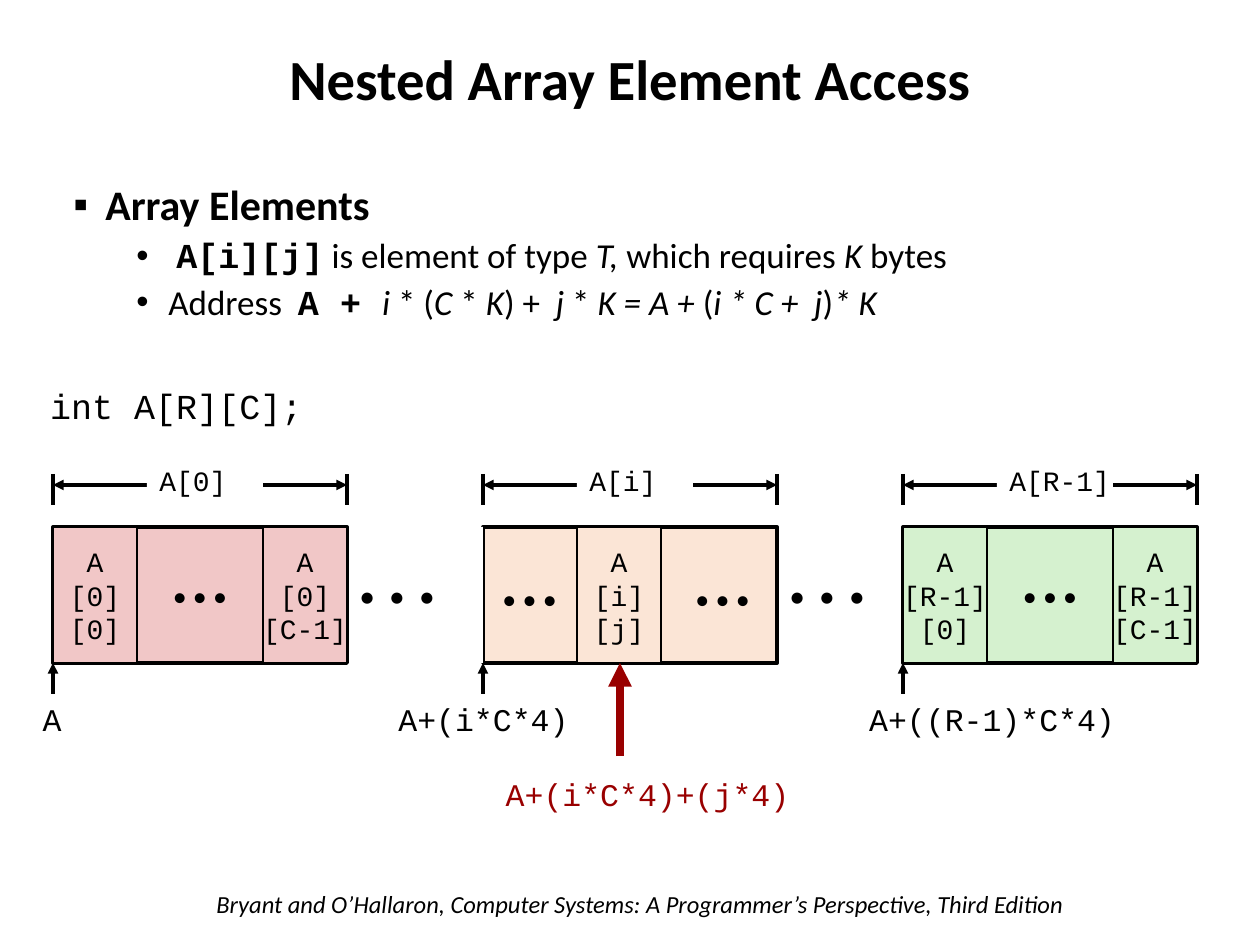
from lxml import etree
from pptx import Presentation
from pptx.dml.color import RGBColor
from pptx.enum.shapes import MSO_CONNECTOR, MSO_SHAPE
from pptx.enum.text import MSO_ANCHOR, PP_ALIGN
from pptx.oxml.ns import qn
from pptx.util import Pt

RECT = MSO_SHAPE.RECTANGLE
STRAIGHT = MSO_CONNECTOR.STRAIGHT
MIDDLE = MSO_ANCHOR.MIDDLE
LEFT, CENTER, RIGHT = PP_ALIGN.LEFT, PP_ALIGN.CENTER, PP_ALIGN.RIGHT
PX = 914400 / 126
SANS, MONO = "Calibri", "Courier New"
COLORS = {
    "ink": "000000", "paper": "FFFFFF", "accent": "990000",
    "first": "F1C7C7", "middle": "FBE5D6", "last": "D5F1CF",
}
DOTS = "•\u00a0•\u00a0•"


def write(frame, text, size=16, font=MONO, color="ink", bold=False,
          italic=False, align=LEFT, new=True):
    for line in text.split("\n"):
        paragraph = frame.paragraphs[-1]
        if new and paragraph.runs:
            paragraph = frame.add_paragraph()
        paragraph.alignment = align
        run = paragraph.add_run()
        run.text = line
        run.font.size = Pt(size)
        run.font.name = font
        run.font.bold = bold
        run.font.italic = italic
        run.font.color.rgb = RGBColor.from_string(COLORS[color])


def draw_line(x1, y1, x2, y2, color="ink", width=2, arrows=()):
    line = slide.shapes.add_connector(
        STRAIGHT, *(round(v * PX) for v in (x1, y1, x2, y2)))
    line.line.color.rgb = RGBColor.from_string(COLORS[color])
    line.line.width = Pt(width)
    for end in arrows:
        etree.SubElement(line.line._get_or_add_ln(), qn(end), type="triangle")
    etree.SubElement(line._element.spPr, qn("a:effectLst"))


prs = Presentation()
prs.slide_width, prs.slide_height = round(1260 * PX), round(945 * PX)
slide = prs.slides.add_slide(prs.slide_layouts[5])

title = slide.shapes.title
title.left, title.top, title.width, title.height = (
    round(v * PX) for v in (152, 43, 956, 79))
title.text_frame.vertical_anchor = MIDDLE
write(title.text_frame, "Nested Array Element Access", size=32.4, font=SANS,
      bold=True, align=CENTER)
title.text_frame.paragraphs[0].line_spacing = 0.9

body = slide.shapes.add_textbox(
    *(round(v * PX) for v in (61, 178, 1074, 200))).text_frame
body.word_wrap = True
code = {"bold": True}
plain = {"font": SANS}
slanted = {"font": SANS, "italic": True}
points = [
    ("▪", 32, 24, 0, [("Array Elements", {"font": SANS, "bold": True})]),
    ("•", 95, 20, 5, [
        (" ", plain), ("A[i][j]", code), (" is element of type ", plain),
        ("T, ", slanted), ("which requires ", plain), ("K", slanted),
        (" bytes", plain)]),
    ("•", 95, 20, 5, [
        ("Address  ", plain), ("A + ", code), ("i ", slanted), ("* (", plain),
        ("C ", slanted), ("* ", plain), ("K", slanted), (") +  ", plain),
        ("j", slanted), (" * ", plain), ("K = A + ", slanted), ("(", plain),
        ("i * C +  j", slanted), (")", plain), ("* K", slanted)]),
]
for bullet, indent, size, space, parts in points:
    for number, (text, style) in enumerate(parts):
        write(body, text, size=size, new=number == 0, **style)
    paragraph = body.paragraphs[-1]
    properties = paragraph._p.get_or_add_pPr()
    properties.set("marL", str(round(indent * PX)))
    properties.set("indent", str(round(-32 * PX)))
    etree.SubElement(properties, qn("a:buFont"), typeface="Arial")
    etree.SubElement(properties, qn("a:buChar"), char=bullet)
    paragraph.line_spacing = 0.9
    paragraph.space_before = Pt(space)

ROW_W, CELL_W, ROW_TOP, ROW_H = 294, 84, 527, 136
BOTTOM = ROW_TOP + ROW_H
BRACKET_Y = 485
rows = [
    (483, "middle", "A[i]", "", [(94, "A\n[i]\n[j]")]),
    (903, "last", "A[R-1]", DOTS,
     [(0, "A\n[R-1]\n[0]"), (210, "A\n[R-1]\n[C-1]")]),
    (53, "first", "A[0]", DOTS, [(0, "A\n[0]\n[0]"), (210, "A\n[0]\n[C-1]")]),
]
for left, fill, label, elided, cells in rows:
    right = left + ROW_W
    gap = (right, ROW_TOP, 136, ROW_H, "paper", 0, "• \u00a0•\u00a0 •",
           18, SANS, LEFT)
    row = (left, ROW_TOP, ROW_W, ROW_H, fill, 2.25, elided, 16, SANS, CENTER)
    elements = [(left + offset, ROW_TOP, CELL_W, ROW_H, fill, 1, text, 16,
                 MONO, CENTER) for offset, text in cells]
    name = (left + 94, 454, 116, 53, "paper", 0, label, 16, MONO, LEFT)
    blocks = [row, *elements, name]
    if fill != "last":
        blocks.insert(0, gap)
    for block in blocks:
        x, y, w, h, color, border, text, size, font, align = block
        if block is name:
            for edge in (left, right):
                draw_line(edge, 474, edge, 505)
            draw_line(left, BRACKET_Y, right, BRACKET_Y,
                      arrows=("a:headEnd", "a:tailEnd"))
        box = slide.shapes.add_shape(RECT, *(round(v * PX) for v in (x, y, w, h)))
        box.shadow.inherit = False
        box.fill.solid()
        box.fill.fore_color.rgb = RGBColor.from_string(COLORS[color])
        if border:
            box.line.color.rgb = RGBColor.from_string(COLORS["ink"])
            box.line.width = Pt(border)
        else:
            box.line.fill.background()
        box.text_frame.word_wrap = False
        box.text_frame.vertical_anchor = MIDDLE
        if text:
            write(box.text_frame, text, size=size, font=font, align=align)
    draw_line(left, 694, left, BOTTOM, arrows=("a:tailEnd",))

draw_line(620, 756, 620, BOTTOM, color="accent", width=4.5,
          arrows=("a:tailEnd",))

captions = [
    (490, 575, 84, 40, DOTS, {"font": SANS}),
    (683, 575, 84, 40, DOTS, {"font": SANS}),
    (25, 694, 54, 50, "A", {"size": 18, "align": CENTER}),
    (384, 694, 199, 50, "A+(i*C*4)", {"size": 18, "align": CENTER}),
    (850, 694, 284, 50, "A+((R-1)*C*4)", {"size": 18, "align": CENTER}),
    (444, 769, 407, 63, "A+(i*C*4)+(j*4)",
     {"size": 18, "align": CENTER, "color": "accent"}),
    (33, 378, 282, 54, "int A[R][C];", {"size": 20, "align": RIGHT}),
    (204, 883, 895, 43,
     "Bryant and O’Hallaron, Computer Systems: A Programmer’s Perspective, "
     "Third Edition", {"size": 14, "font": SANS, "italic": True}),
]
for x, y, w, h, text, style in captions:
    caption = slide.shapes.add_textbox(*(round(v * PX) for v in (x, y, w, h)))
    caption.text_frame.word_wrap = True
    write(caption.text_frame, text, **style)

prs.save("out.pptx")
